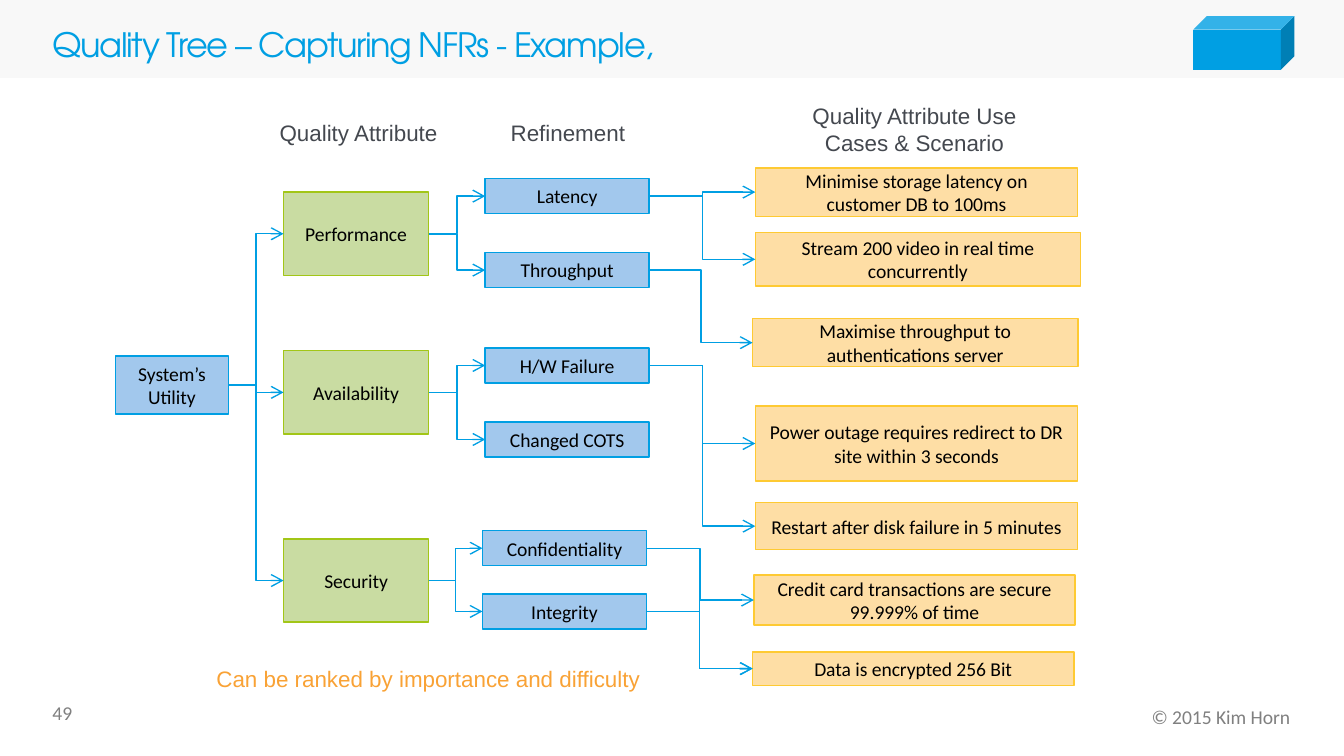
from pptx import Presentation
from pptx.dml.color import RGBColor
from pptx.enum.shapes import MSO_CONNECTOR as Connector, MSO_SHAPE as Shape
from pptx.enum.text import MSO_ANCHOR as Anchor, MSO_AUTO_SIZE as AutoSize, PP_ALIGN as Align
from pptx.oxml.ns import qn
from pptx.util import Inches, Pt
from lxml.etree import SubElement

BLUE = RGBColor(0x00, 0x9F, 0xE3)
PALE_BLUE = RGBColor(0xA2, 0xC8, 0xED)
GREEN = RGBColor(0xA2, 0xC6, 0x17)
PALE_GREEN = RGBColor(0xC9, 0xDC, 0xA2)
YELLOW = RGBColor(0xFE, 0xCA, 0x33)
PALE_YELLOW = RGBColor(0xFE, 0xDE, 0xA5)
ORANGE = RGBColor(0xF9, 0xA2, 0x35)
BLACK = RGBColor(0x00, 0x00, 0x00)
SLATE = RGBColor(0x44, 0x48, 0x4F)
GREY = RGBColor(0x80, 0x80, 0x80)
BAND_GREY = RGBColor(0xF2, 0xF2, 0xF2)

NODE_INSETS = (0.08, 0.04, 0.08, 0.04)
LABEL_INSETS = (0.07, 0.03, 0.07, 0.03)
RIGHT_SITE, LEFT_SITE = 3, 1

ATTRIBUTES = [("Performance", 1.43), ("Availability", 2.61), ("Security", 4.01)]
REFINEMENTS = [
    ("Latency", 3.61, 1.33),
    ("Throughput", 3.61, 1.88),
    ("H/W Failure", 3.61, 2.59),
    ("Changed COTS", 3.61, 3.14),
    ("Confidentiality", 3.59, 3.95),
    ("Integrity", 3.59, 4.42),
]
SCENARIOS = [
    ("Minimise storage latency on customer DB to 100ms", 5.62, 1.25, 2.4, 0.36),
    ("Stream 200 video in real time concurrently", 5.62, 1.73, 2.42, 0.4),
    ("Maximise throughput to authentications server", 5.6, 2.37, 2.42, 0.36),
    ("Power outage requires redirect to DR site within 3 seconds", 5.62, 3.02, 2.4, 0.56),
    ("Restart after disk failure in 5 minutes", 5.62, 3.74, 2.4, 0.35),
    ("Credit card transactions are secure 99.999% of time", 5.61, 4.28, 2.39, 0.37),
    ("Data is encrypted 256 Bit", 5.6, 4.85, 2.39, 0.25),
]
ATTRIBUTE_LINKS = [(0, 0), (0, 1), (1, 2), (1, 3), (2, 4), (2, 5)]
SCENARIO_LINKS = [(0, 0), (0, 1), (1, 2), (2, 3), (2, 4), (4, 5), (4, 6), (5, 6)]


def write_text(box, text, *, size=10.5, font="Calibri", color=BLACK, align=Align.LEFT,
               anchor=Anchor.TOP, insets=(0, 0, 0, 0), wrap=True, line_spacing=None,
               tracking=None, auto_size=AutoSize.NONE):
    frame = box.text_frame
    frame.word_wrap = wrap
    frame.auto_size = auto_size
    frame.vertical_anchor = anchor
    (frame.margin_left, frame.margin_top,
     frame.margin_right, frame.margin_bottom) = map(Inches, insets)
    for index, line in enumerate(text.split("\n")):
        para = frame.add_paragraph() if index else frame.paragraphs[0]
        para.alignment = align
        para.line_spacing = line_spacing
        span = para.add_run()
        span.text = line
        span.font.size = Pt(size)
        span.font.name = font
        span.font.color.rgb = color
        if tracking is not None:
            span.font._element.set("spc", str(round(tracking * 100)))


def add_text(page, text, left, top, width, height, **text_format):
    box = page.shapes.add_textbox(*map(Inches, (left, top, width, height)))
    write_text(box, text, **text_format)


def add_label(page, text, left, top, width, height, **text_format):
    add_text(page, text, left, top, width, height,
             **{"size": 12, "font": "Arial", "color": SLATE, "wrap": False,
                "insets": LABEL_INSETS, "auto_size": AutoSize.SHAPE_TO_FIT_TEXT,
                **text_format})


def add_plain_shape(page, preset, left, top, width, height, fill, line=None):
    shape = page.shapes.add_shape(preset, *map(Inches, (left, top, width, height)))
    shape.shadow.inherit = False
    shape.fill.solid()
    shape.fill.fore_color.rgb = fill
    if line is None:
        shape.line.fill.background()
    else:
        shape.line.color.rgb = line
        shape.line.width = Pt(0.75)
    return shape


def add_node(page, text, left, top, width, height, fill, line):
    node = add_plain_shape(page, Shape.RECTANGLE, left, top, width, height, fill, line)
    write_text(node, text, align=Align.CENTER, anchor=Anchor.MIDDLE, insets=NODE_INSETS)
    return node


def add_link(page, parent, child):
    link = page.shapes.add_connector(Connector.ELBOW, 0, 0, 0, 0)
    link.begin_connect(parent, RIGHT_SITE)
    link.end_connect(child, LEFT_SITE)
    link.line.color.rgb = BLUE
    link.line.width = Pt(0.75)
    SubElement(link.line._get_or_add_ln(), qn("a:tailEnd"), type="arrow")
    SubElement(link._element.spPr, qn("a:effectLst"))


def add_frame(page):
    band = add_plain_shape(page, Shape.RECTANGLE, 0, 0, 10, 0.58, BAND_GREY)
    band_color = band._element.spPr.find(qn("a:solidFill"))[0]
    SubElement(band_color, qn("a:alpha"), val="50000")
    add_plain_shape(page, Shape.CUBE, 8.88, 0.12, 0.75, 0.4, BLUE)
    add_text(page, "Quality Tree – Capturing NFRs - Example,", 0.39, 0.21, 8.05, 0.27,
             size=18, font="TeX Gyre Adventor", color=BLUE, anchor=Anchor.MIDDLE,
             line_spacing=0.9, tracking=-0.7)
    add_text(page, "49", 0.39, 5.17, 0.32, 0.23, color=GREY, insets=(0, 0.05, 0.1, 0))
    add_text(page, "© 2015 Kim Horn", 5.63, 5.24, 3.97, 0.18, color=GREY,
             align=Align.RIGHT, anchor=Anchor.MIDDLE)


def add_tree(page):
    root = add_node(page, "System’s\nUtility", 0.86, 2.65, 0.84, 0.43, PALE_BLUE, BLUE)
    attributes = [add_node(page, text, 2.11, top, 1.08, 0.62, PALE_GREEN, GREEN)
                  for text, top in ATTRIBUTES]
    refinements = [add_node(page, text, left, top, 1.22, 0.26, PALE_BLUE, BLUE)
                   for text, left, top in REFINEMENTS]
    scenarios = [add_node(page, *scenario, PALE_YELLOW, YELLOW) for scenario in SCENARIOS]
    for attribute in attributes:
        add_link(page, root, attribute)
    for parent, child in ATTRIBUTE_LINKS:
        add_link(page, attributes[parent], refinements[child])
    for parent, child in SCENARIO_LINKS:
        add_link(page, refinements[parent], scenarios[child])


def add_labels(page):
    add_label(page, "Quality Attribute", 2.01, 0.86, 1.32, 0.27)
    add_label(page, "Refinement", 3.73, 0.86, 1, 0.27)
    add_label(page, "Quality Attribute Use Cases & Scenario", 5.74, 0.73, 2.13, 0.47,
              align=Align.CENTER, wrap=True)
    add_label(page, "Can be ranked by importance and difficulty", 1.54, 4.92, 3.31, 0.27,
              color=ORANGE)


def main():
    deck = Presentation()
    deck.slide_width = Inches(10)
    deck.slide_height = deck.slide_width * 9 // 16
    page = deck.slides.add_slide(deck.slide_layouts[6])
    add_frame(page)
    add_tree(page)
    add_labels(page)
    deck.save("out.pptx")


if __name__ == "__main__":
    main()
